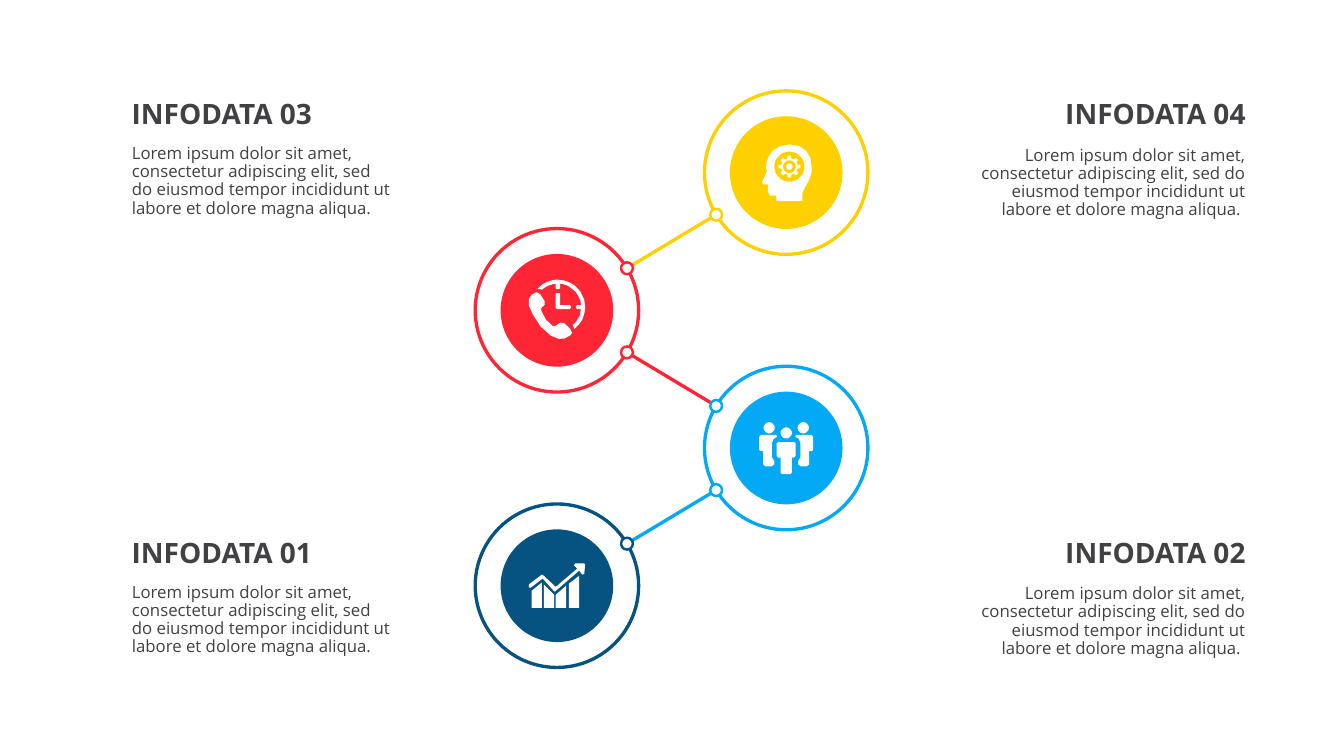
import math
from dataclasses import dataclass
from typing import Any

import pptx
from lxml import etree
from pptx import util as u
from pptx.dml import color
from pptx.enum import shapes, text
from pptx.oxml import ns

Point = tuple[float, float]
Contour = list[Point]

COLOURS = {"navy": "065381", "blue": "03A9F4", "red": "FE2635",
           "yellow": "FFD000", "ink": "414042", "white": "FFFFFF"}
RING_RADIUS, DISC_RADIUS, NODE_RADIUS = 2.06, 1.42, 0.15
RING_LINE, NODE_LINE = 2.38, 1.75
LEFT_X, RIGHT_X = 14.04, 19.82
FIRST_Y, STEP_Y = 14.76, -3.47
LOREM = ("Lorem ipsum dolor sit amet, consectetur adipiscing elit, sed do "
         "eiusmod tempor incididunt ut labore et dolore magna aliqua.")

FRAME_FORMAT = {"word_wrap": True, "auto_size": text.MSO_AUTO_SIZE.NONE,
                "vertical_anchor": text.MSO_ANCHOR.TOP}
PARAGRAPH_FORMAT = {"line_spacing": 0.9, "space_before": u.Pt(10)}
HEADING_FONT = {"name": "Open Sans", "size": u.Pt(20), "bold": True}
BODY_FONT = {"name": "Open Sans", "size": u.Pt(12), "bold": False}


@dataclass
class Stage:
    colour: str
    centre: Point
    icon: list[Contour]


@dataclass
class Caption:
    heading: str
    body: str
    heading_box: tuple[float, float, float, float]
    body_box: tuple[float, float, float, float]
    align: Any


def rgb(name: str) -> color.RGBColor:
    return color.RGBColor.from_string(COLOURS[name])


def apply_format(target: Any, values: dict[str, Any]) -> None:
    for attribute, value in values.items():
        setattr(target, attribute, value)


def arc(x: float, y: float, radius: float, start: int, end: int) -> Contour:
    """Points along an arc, every few degrees."""
    count = max(8, abs(end - start) // 6)
    angles = [math.radians(start + (end - start) * i / count) for i in range(count + 1)]
    return [(x + radius * math.cos(a), y + radius * math.sin(a)) for a in angles]


def circle(x: float, y: float, radius: float) -> Contour:
    return arc(x, y, radius, 0, 360)


def gear(x: float, y: float, tip: float, root: float) -> Contour:
    corners = [(root, -15), (tip, -8), (tip, 8), (root, 15)]
    return [arc(x, y, radius, 45 * tooth + offset, 360)[0]
            for tooth in range(8) for radius, offset in corners]


def mirrored(contour: Contour) -> Contour:
    return [(-x, y) for x, y in reversed(contour)]


# Icon contours, in hundredths of a centimetre from the disc centre.
def growth_icon() -> list[Contour]:
    bars = [(-64, 13, -8), (-33, -3, 23), (-3, 23, 0), (30, -5, -25)]
    arrow = [(69, -56), (46, -56), (43, -51), (51, -43), (-3, 3), (-33, -25), (-38, -28),
             (-71, -3), (-71, 5), (-66, 5), (-36, -18), (-8, 13), (-5, 15), (-3, 13),
             (56, -38), (64, -28), (69, -30), (71, -53)]
    return [[(x, left), (x + 26, right), (x + 26, 56), (x, 56)]
            for x, left, right in bars] + [arrow]


def team_icon() -> list[Contour]:
    half = [(20, -15), (24, -12), (24, 20), (20, 24), (14, 24), (14, 62), (11, 66)]
    side = [(64, -33), (25, -33), (23, -28), (31, -24), (36, -13), (36, 23), (30, 33),
            (30, 41), (36, 46), (53, 46), (58, 41), (58, 8), (64, 8), (68, 5), (68, -28)]
    heads = [circle(x, y, 14) for x, y in ((-43, -51), (0, -38), (43, -51))]
    return heads + [half + mirrored(half), side, mirrored(side)]


def call_icon() -> list[Contour]:
    handset = [(-71, -28), (-64, -39), (-51, -46), (-41, -39), (-31, -23), (-31, -14),
               (-40, -5), (-39, 2), (-28, 23), (-10, 40), (-3, 39), (8, 31), (18, 32),
               (33, 46), (38, 56), (35, 62), (20, 71), (5, 72), (-15, 64), (-41, 41),
               (-61, 10), (-71, -13)]
    hands = [(-3, -43), (8, -43), (8, -13), (33, -13), (36, -8), (33, -3), (0, -3), (-3, -6)]
    rim = arc(2, -8, 69, -138, 53) + arc(2, -8, 59, 50, -132)
    top_tick = [(-3, -67), (8, -67), (8, -55), (2, -53), (-3, -55)]
    right_tick = [(61, -13), (61, -3), (50, -3), (48, -8), (50, -13)]
    return [handset, hands, rim, top_tick, right_tick]


def mind_icon() -> list[Contour]:
    head = [(64, -13), (61, -36), (51, -54), (33, -67), (8, -71), (-15, -67), (-33, -56),
            (-43, -43), (-49, -28), (-51, -10), (-48, -5), (-61, 25), (-58, 30), (-46, 30),
            (-46, 48), (-41, 58), (-25, 58), (-25, 71), (41, 71), (41, 51), (48, 36),
            (58, 18), (64, 0)]
    x, y = 8, -15
    return [head, circle(x, y, 38), gear(x, y, 28, 21), circle(x, y, 16), circle(x, y, 8)]


def add_circle(slide: Any, centre: Point, radius: float, fill: str | None,
               line: str | None = None, width: float = 0) -> None:
    x, y = centre
    ellipse = slide.shapes.add_shape(
        shapes.MSO_SHAPE.OVAL, u.Cm(x - radius), u.Cm(y - radius),
        u.Cm(2 * radius), u.Cm(2 * radius))
    ellipse.shadow.inherit = False
    if fill:
        ellipse.fill.solid()
        ellipse.fill.fore_color.rgb = rgb(fill)
    else:
        ellipse.fill.background()
    if line:
        ellipse.line.color.rgb = rgb(line)
        ellipse.line.width = u.Pt(width)
    else:
        ellipse.line.fill.background()


def add_icon(slide: Any, stage: Stage) -> None:
    first, *others = stage.icon
    builder = slide.shapes.build_freeform(*first[0], scale=u.Cm(0.01))
    builder.add_line_segments(first[1:], close=True)
    for contour in others:
        builder.move_to(*contour[0])
        builder.add_line_segments(contour[1:], close=True)
    icon = builder.convert_to_shape(*(u.Cm(c) for c in stage.centre))
    icon.shadow.inherit = False
    icon.fill.solid()
    icon.fill.fore_color.rgb = rgb("white")
    icon.line.fill.background()


def towards(start: Point, end: Point, distance: float) -> Point:
    share = distance / math.dist(start, end)
    return (start[0] + (end[0] - start[0]) * share, start[1] + (end[1] - start[1]) * share)


def link_stages(slide: Any, lower: Stage, upper: Stage) -> None:
    """Join two rings with a line that ends at a node on each ring."""
    reach = RING_RADIUS + NODE_RADIUS
    ends = [towards(lower.centre, upper.centre, reach), towards(upper.centre, lower.centre, reach)]
    link = slide.shapes.add_connector(
        shapes.MSO_CONNECTOR.STRAIGHT, *(u.Cm(c) for end in ends for c in end))
    link.line.color.rgb = rgb(upper.colour)
    link.line.width = u.Pt(RING_LINE)
    etree.SubElement(link._element.spPr, ns.qn("a:effectLst"))
    for stage, other in ((lower, upper), (upper, lower)):
        node = towards(stage.centre, other.centre, RING_RADIUS)
        add_circle(slide, node, NODE_RADIUS, "white", stage.colour, NODE_LINE)


def write_text(box: Any, wording: str, align: Any, font: dict[str, Any]) -> None:
    apply_format(box.text_frame, FRAME_FORMAT)
    paragraph = box.text_frame.paragraphs[0]
    apply_format(paragraph, PARAGRAPH_FORMAT | {"alignment": align})
    properties = paragraph._p.get_or_add_pPr()
    properties.set("marL", "0")
    properties.set("indent", "0")
    etree.SubElement(properties, ns.qn("a:buNone"))
    run = paragraph.add_run()
    run.text = wording
    apply_format(run.font, font)
    run.font.color.rgb = rgb("ink")


def add_caption(slide: Any, caption: Caption, body: Any) -> None:
    heading = slide.shapes.add_textbox(*(u.Cm(c) for c in caption.heading_box))
    write_text(heading, caption.heading, caption.align, HEADING_FONT)
    places = zip(("left", "top", "width", "height"), caption.body_box)
    apply_format(body, {side: u.Cm(length) for side, length in places})
    write_text(body, caption.body, caption.align, BODY_FONT)


def main() -> None:
    deck = pptx.Presentation()
    apply_format(deck, {"slide_width": u.Cm(33.88), "slide_height": u.Cm(19.05)})
    slide = deck.slides.add_slide(deck.slide_layouts.get_by_name("Comparison"))
    title, *bodies = slide.placeholders
    title._element.getparent().remove(title._element)

    looks = [("navy", growth_icon), ("blue", team_icon), ("red", call_icon), ("yellow", mind_icon)]
    stages = [Stage(colour, ((LEFT_X, RIGHT_X)[i % 2], FIRST_Y + i * STEP_Y), icon())
              for i, (colour, icon) in enumerate(looks)]
    for stage in stages:
        add_circle(slide, stage.centre, RING_RADIUS, None, stage.colour, RING_LINE)
        add_circle(slide, stage.centre, DISC_RADIUS, stage.colour)
        add_icon(slide, stage)
    for lower, upper in zip(stages, stages[1:]):
        link_stages(slide, lower, upper)

    captions = []
    for row, top in enumerate((13.46, 2.41)):
        captions += [
            Caption(f"INFODATA 0{2 * row + 1}", LOREM, (3.07, top, 7.04, 1.5),
                    (3.07, top + 1.12, 7.04, 2.39), text.PP_ALIGN.LEFT),
            Caption(f"INFODATA 0{2 * row + 2}", LOREM + " ", (24.74, top, 6.91, 1.5),
                    (24.41, top + 1.16, 7.24, 2.21), text.PP_ALIGN.RIGHT)]
    for caption, body in zip(captions, bodies):
        add_caption(slide, caption, body)
    deck.save("out.pptx")


if __name__ == "__main__":
    main()
